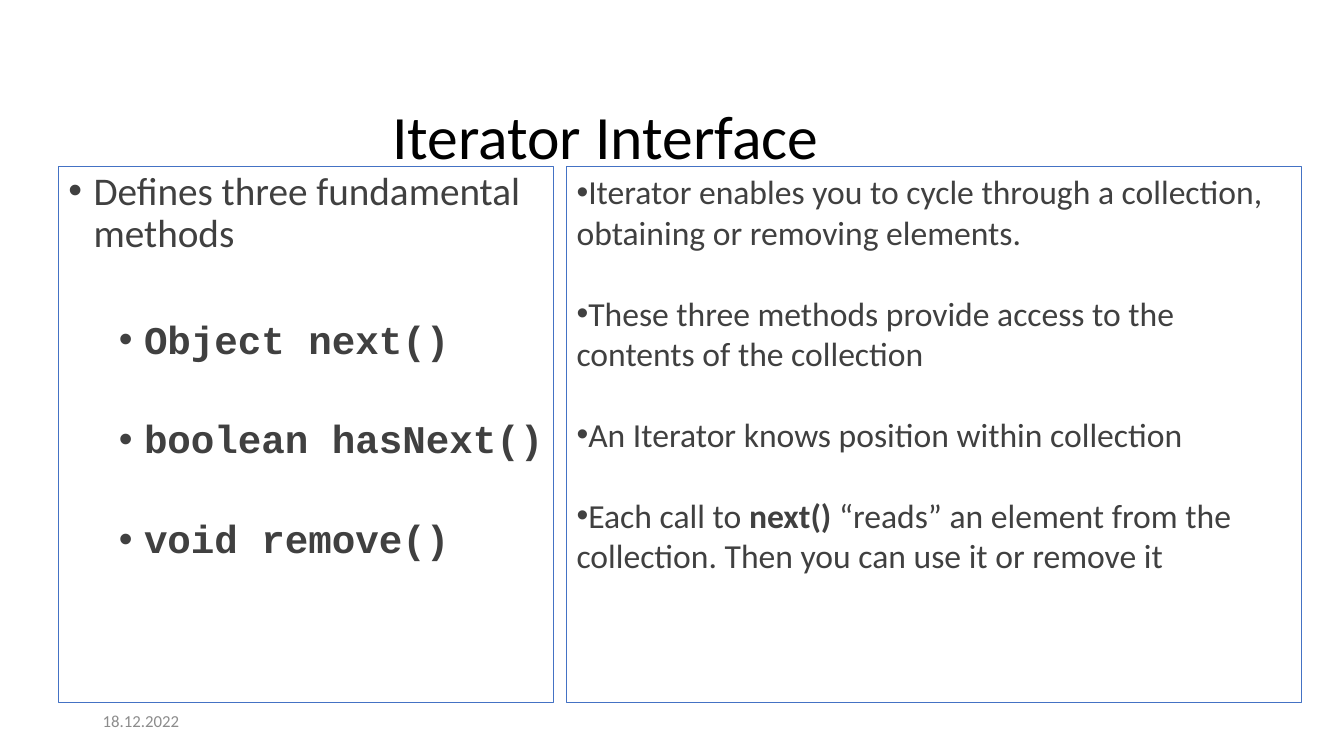
from lxml import etree
from pptx import Presentation
from pptx.dml.color import RGBColor
from pptx.enum.shapes import MSO_SHAPE as Shape
from pptx.enum.text import MSO_ANCHOR as Anchor, PP_ALIGN as Align
from pptx.oxml.ns import qn
from pptx.util import Inches, Pt

BODY_COLOR = "404040"
PANEL_TOP, PANEL_HEIGHT = 1.65, 5.32

METHODS = ["Object next()", "boolean hasNext()", "void remove()"]
# Each note is a list of (text, bold) runs
NOTES = [
    [("Iterator enables you to cycle through a collection, "
      "obtaining or removing elements.", False)],
    [("These three methods provide access to the contents of the collection", False)],
    [("An Iterator knows position within collection", False)],
    [("Each call to ", False), ("next() ", True),
     ("“reads” an element from the collection. "
      "Then you can use it or remove it", False)],
]


def rgb(value):
    return RGBColor.from_string(value)


def write(paragraph, text, size=24, font="Calibri", color=BODY_COLOR, bold=False):
    """Add one formatted run to a paragraph."""
    run = paragraph.add_run()
    run.text = text
    run.font.size = Pt(size)
    run.font.name = font
    run.font.bold = bold
    run.font.color.rgb = rgb(color)


def next_paragraph(frame, space_before=0, line_spacing=1.0):
    """Return the unused first paragraph, or a new one."""
    first = frame.paragraphs[0]
    paragraph = frame.add_paragraph() if first.runs else first
    paragraph.alignment = Align.LEFT
    paragraph.space_before = Pt(space_before)
    paragraph.line_spacing = line_spacing
    return paragraph


def add_bullet(paragraph, margin=0, hanging=0):
    properties = paragraph._p.get_or_add_pPr()
    properties.set("marL", str(Inches(margin)))
    properties.set("indent", str(-Inches(hanging)))
    etree.SubElement(properties, qn("a:buFont")).set("typeface", "Arial")
    etree.SubElement(properties, qn("a:buChar")).set("char", "•")


def add_panel(slide, left, width):
    """Add a white outlined panel and return its text frame."""
    panel = slide.shapes.add_shape(Shape.RECTANGLE, Inches(left), Inches(PANEL_TOP),
                                   Inches(width), Inches(PANEL_HEIGHT))
    panel.shadow.inherit = False
    panel.fill.solid()
    panel.fill.fore_color.rgb = rgb("FFFFFF")
    panel.line.color.rgb = rgb("4472C4")
    panel.line.width = Pt(1)
    frame = panel.text_frame
    frame.word_wrap = True
    frame.vertical_anchor = Anchor.TOP
    return frame


def add_title(slide, text):
    title = slide.shapes.title
    title.left, title.top = Inches(3.79), Inches(0.68)
    title.width, title.height = Inches(7.21), Inches(1.4)
    title.text_frame.vertical_anchor = Anchor.MIDDLE
    heading = next_paragraph(title.text_frame, line_spacing=0.9)
    write(heading, text, size=44, color="000000")


def add_methods(slide):
    frame = add_panel(slide, 0.58, 4.91)
    frame.margin_right = Inches(0.05)  # keeps the longest method on one line
    intro = next_paragraph(frame, line_spacing=0.9)
    add_bullet(intro, margin=0.25, hanging=0.25)
    write(intro, "Defines three fundamental methods", size=28)
    for index, method in enumerate(METHODS):
        item = next_paragraph(frame, space_before=41 if index else 46, line_spacing=0.9)
        item.level = 1
        add_bullet(item, margin=0.75, hanging=0.25)
        write(item, method, size=28, font="Courier New", bold=True)


def add_notes(slide):
    frame = add_panel(slide, 5.62, 7.29)
    for index, note in enumerate(NOTES):
        item = next_paragraph(frame, space_before=29 if index else 0)
        add_bullet(item)
        for text, bold in note:
            write(item, text, bold=bold)


def add_date(slide, text):
    date = slide.shapes.add_textbox(Inches(0.92), Inches(6.95), Inches(3), Inches(0.4))
    date.text_frame.word_wrap = True
    date.text_frame.vertical_anchor = Anchor.MIDDLE
    write(next_paragraph(date.text_frame), text, size=12, color="8C8C8C")


def main():
    deck = Presentation()
    deck.slide_width, deck.slide_height = Inches(13.33), Inches(7.5)
    slide = deck.slides.add_slide(deck.slide_layouts[5])  # title only
    add_title(slide, "Iterator Interface")
    add_methods(slide)
    add_notes(slide)
    add_date(slide, "18.12.2022")
    deck.save("out.pptx")


if __name__ == "__main__":
    main()
